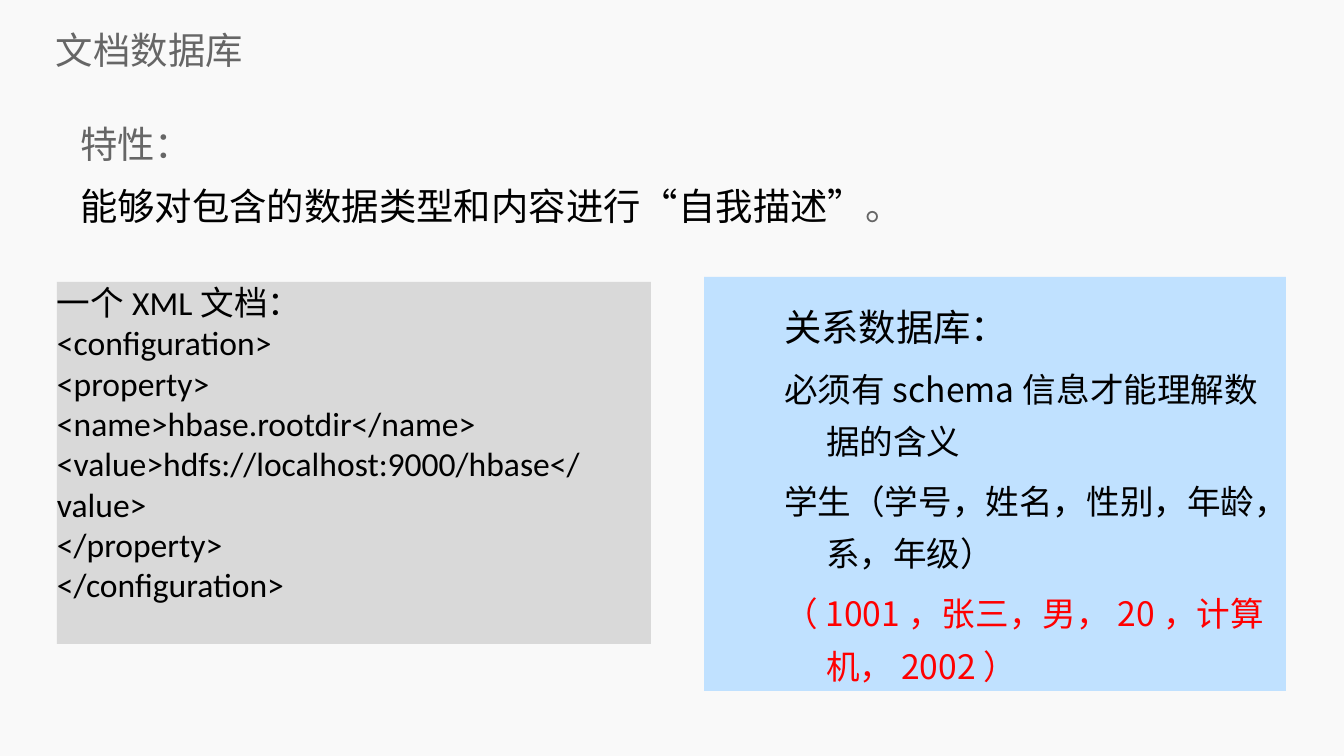
from dataclasses import dataclass

from lxml.etree import SubElement
from pptx import Presentation
from pptx.dml.color import RGBColor
from pptx.enum.shapes import MSO_SHAPE
from pptx.enum.text import MSO_ANCHOR, MSO_AUTO_SIZE, PP_ALIGN
from pptx.oxml.ns import qn
from pptx.util import Emu, Pt

SLIDE_W, SLIDE_H = 1344, 756
EMU_PER_PX = 9144000 / SLIDE_W


@dataclass(frozen=True)
class Theme:
    background: str = "F9F9F9"
    muted: str = "666666"
    ink: str = "000000"
    accent: str = "FF0000"
    xml_fill: str = "D9D9D9"
    relational_fill: str = "C0E1FF"
    cjk_font: str = "Noto Sans CJK SC"
    code_font: str = "Calibri"
    heading: int = 20
    body: int = 18


THEME = Theme()


def px(length):
    return Emu(round(length * EMU_PER_PX))


def paint(fill, color):
    fill.solid()
    fill.fore_color.rgb = RGBColor.from_string(color)


def set_frame(frame, anchor=MSO_ANCHOR.TOP, insets=(0, 0, 0, 0)):
    frame.word_wrap = True
    frame.auto_size = MSO_AUTO_SIZE.NONE
    frame.vertical_anchor = anchor
    left, top, right, bottom = insets
    frame.margin_left, frame.margin_top = px(left), px(top)
    frame.margin_right, frame.margin_bottom = px(right), px(bottom)


def add_run(paragraph, text, size, color, font=THEME.cjk_font):
    run = paragraph.add_run()
    run.text = text
    run.font.size = Pt(size)
    run.font.color.rgb = RGBColor.from_string(color)
    run.font.name = font
    SubElement(run._r.get_or_add_rPr(), qn("a:ea"), typeface=THEME.cjk_font)


def add_paragraph(frame, runs, spacing=1.0, before=0, margin=0, indent=0):
    """Fill the empty first paragraph, or append one after it."""
    first = not frame.paragraphs[0].runs
    paragraph = frame.paragraphs[0] if first else frame.add_paragraph()
    paragraph.alignment = PP_ALIGN.LEFT
    paragraph.line_spacing = spacing
    paragraph.space_before = Pt(0 if first else before)
    properties = paragraph._p.get_or_add_pPr()
    properties.set("marL", str(px(margin)))
    properties.set("indent", str(px(indent)))
    for run in runs:
        add_run(paragraph, *run)


def add_panel(slide, box, color):
    panel = slide.shapes.add_shape(MSO_SHAPE.RECTANGLE, *map(px, box))
    panel.shadow.inherit = False
    panel.line.fill.background()
    paint(panel.fill, color)
    return panel.text_frame


def add_title(slide):
    title = slide.shapes.title
    title.left, title.top, title.width, title.height = map(px, (56, 24, 1267, 51))
    set_frame(title.text_frame, MSO_ANCHOR.MIDDLE)
    add_paragraph(title.text_frame, [("文档数据库", THEME.heading, THEME.muted)])


def add_features(slide):
    frame = slide.shapes.add_textbox(*map(px, (69, 103, 1007, 140))).text_frame
    set_frame(frame)
    size = THEME.heading
    for runs in (
        [("特性：", size, THEME.muted)],
        [("能够对包含的数据类型和内容进行“自我描述”", size, THEME.ink),
         ("。", size, THEME.muted)],
    ):
        add_paragraph(frame, runs, spacing=1.4, margin=11)


def add_xml_panel(slide):
    frame = add_panel(slide, (57, 282, 594, 362), THEME.xml_fill)
    set_frame(frame)
    for line in (
        "一个XML文档：",
        "<configuration>",
        "<property>",
        "<name>hbase.rootdir</name>",
        "<value>hdfs://localhost:9000/hbase</value>",
        "</property>",
        "</configuration>",
    ):
        add_paragraph(frame, [(line, THEME.body, THEME.ink, THEME.code_font)])


def add_relational_panel(slide):
    frame = add_panel(slide, (704, 277, 582, 414), THEME.relational_fill)
    set_frame(frame, insets=(13, 14, 13, 7))
    for text, size, color in (
        ("关系数据库：", THEME.heading, THEME.ink),
        ("必须有schema信息才能理解数据的含义", THEME.body, THEME.ink),
        ("学生（学号，姓名，性别，年龄，系，年级）", THEME.body, THEME.ink),
        ("（1001，张三，男，20，计算机，2002）", THEME.body, THEME.accent),
    ):
        add_paragraph(frame, [(text, size, color)], spacing=1.3, before=4,
                      margin=109, indent=-42)


def main():
    deck = Presentation()
    deck.slide_width, deck.slide_height = px(SLIDE_W), px(SLIDE_H)
    slide = deck.slides.add_slide(deck.slide_layouts[5])  # title only
    paint(slide.background.fill, THEME.background)

    # Heading and key feature
    add_title(slide)
    add_features(slide)

    # Document model beside relational model
    add_xml_panel(slide)
    add_relational_panel(slide)

    deck.save("out.pptx")


if __name__ == "__main__":
    main()
